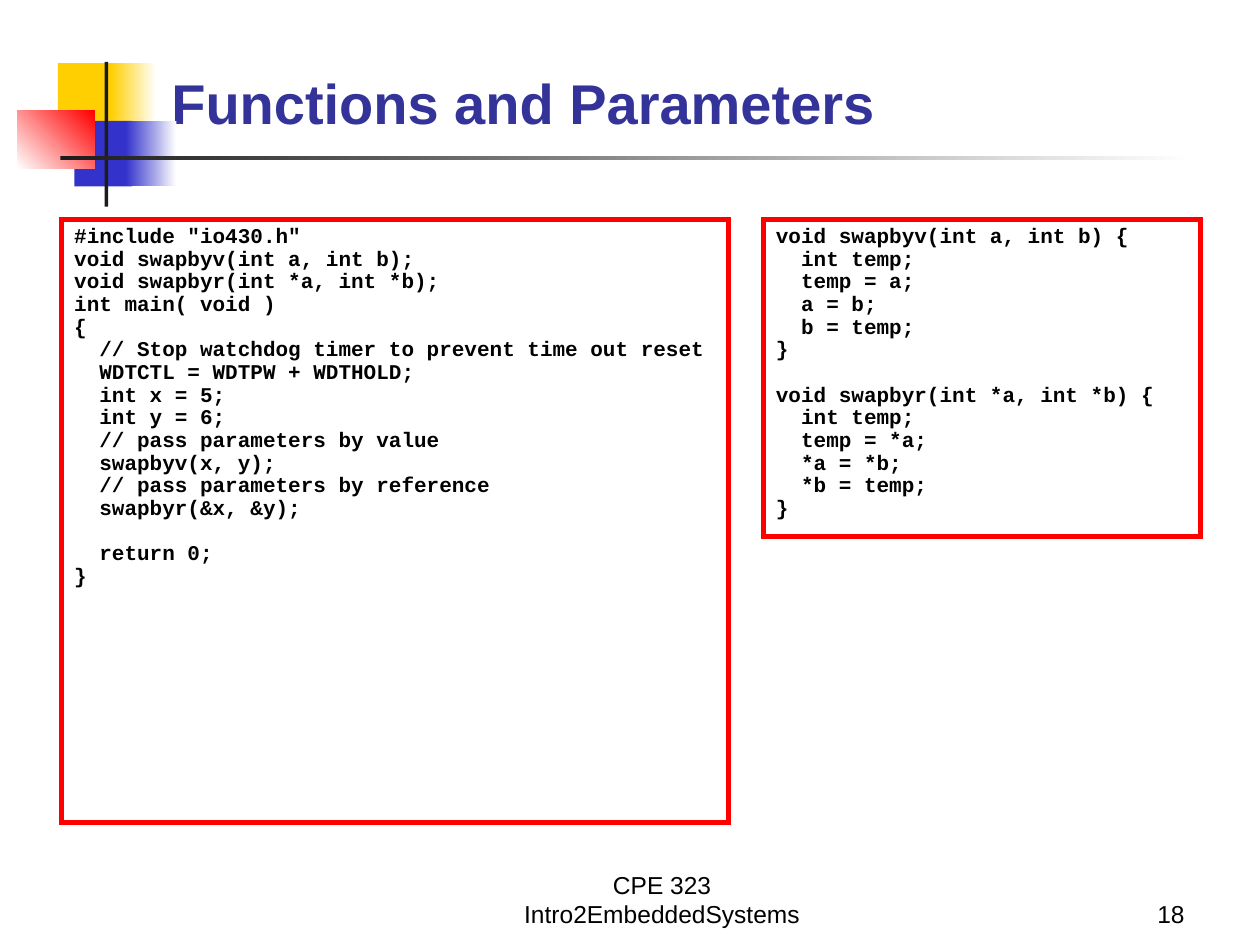
from lxml import etree
from pptx import Presentation
from pptx.dml.color import RGBColor
from pptx.enum.shapes import MSO_SHAPE
from pptx.enum.text import MSO_ANCHOR, PP_ALIGN
from pptx.oxml.ns import qn
from pptx.util import Inches, Pt

RECTANGLE = MSO_SHAPE.RECTANGLE
TOP, BOTTOM = MSO_ANCHOR.TOP, MSO_ANCHOR.BOTTOM
LEFT, CENTER, RIGHT = PP_ALIGN.LEFT, PP_ALIGN.CENTER, PP_ALIGN.RIGHT
TITLE_ONLY = 5
COLORS = {
    "yellow": "FFCF01", "blue": "3333CC", "red": "FF0000", "white": "FFFFFF",
    "charcoal": "1C1C1C", "title": "333399", "black": "000000",
}
MAIN_CODE = """#include "io430.h"
void swapbyv(int a, int b);
void swapbyr(int *a, int *b);
int main( void )
{
  // Stop watchdog timer to prevent time out reset
  WDTCTL = WDTPW + WDTHOLD;
  int x = 5;
  int y = 6;
  // pass parameters by value
  swapbyv(x, y);
  // pass parameters by reference
  swapbyr(&x, &y);

  return 0;
}"""
SWAP_CODE = """void swapbyv(int a, int b) {
  int temp;
  temp = a;
  a = b;
  b = temp;
}

void swapbyr(int *a, int *b) {
  int temp;
  temp = *a;
  *a = *b;
  *b = temp;
}"""


def color(name):
    """Return the named colour."""
    return RGBColor.from_string(COLORS[name])


def inches(box):
    """Convert left, top, width and height to lengths."""
    return [Inches(value) for value in box]


def style(font, name, size, ink, bold=False):
    """Format a font."""
    font.name, font.size, font.bold = name, Pt(size), bold
    font.color.rgb = color(ink)


def add_block(page, box, start, end=None, angle=0):
    """Add a borderless rectangle, solid or fading from start to end."""
    block = page.shapes.add_shape(RECTANGLE, *inches(box))
    block.shadow.inherit = False
    block.line.fill.background()
    if end is None:
        block.fill.solid()
        block.fill.fore_color.rgb = color(start)
        return
    block.fill.gradient()
    block.fill.gradient_angle = angle
    for stop, name, position in zip(block.fill.gradient_stops, (start, end), (0, 1)):
        stop.color.rgb = color(name)
        stop.position = position


def add_emblem(page, box):
    """Place the overlapping colour squares and the crossing rules."""
    left, top, width, height = box
    add_block(page, (left + 0.32, top + 0.01, 0.48, 0.52), "yellow")
    add_block(page, (left + 0.74, top + 0.01, 0.36, 0.52), "yellow", "white")
    add_block(page, (left + 0.45, top + 0.47, 0.46, 0.52), "blue")
    add_block(page, (left + 0.86, top + 0.47, 0.4, 0.52), "blue", "white")
    add_block(page, (left, top + 0.39, 0.61, 0.46), "white", "red", 45)
    add_block(page, (left + 0.69, top, 0.03, height), "charcoal")
    add_block(page, (left + 0.34, top + 0.75, width - 0.34, 0.03), "charcoal", "white")


def add_title(page, box, text):
    """Fill the title placeholder."""
    title = page.shapes.title
    title.left, title.top, title.width, title.height = inches(box)
    frame = title.text_frame
    frame.text = text
    frame.vertical_anchor = BOTTOM
    para = frame.paragraphs[0]
    para.alignment = LEFT
    style(para.runs[0].font, "Arial", 32, "title", True)


def add_code(page, box, code):
    """Add a code listing in a red frame with square corners."""
    panel = page.shapes.add_shape(RECTANGLE, *inches(box))
    panel.shadow.inherit = False
    panel.fill.background()
    panel.line.color.rgb = color("red")
    panel.line.width = Pt(3)
    outline = panel._element.spPr.find(qn("a:ln"))
    etree.SubElement(outline, qn("a:miter")).set("lim", "800000")
    frame = panel.text_frame
    frame.word_wrap = True
    frame.vertical_anchor = TOP
    frame.text = code
    for para in frame.paragraphs:
        para.alignment = LEFT
        para.line_spacing = 0.9
        properties = para._p.get_or_add_pPr()
        properties.set("marL", str(Inches(0.38)))
        properties.set("indent", str(Inches(-0.38)))
        style(para.font, "Courier New", 12, "black", True)
        for span in para.runs:
            style(span.font, "Courier New", 12, "black", True)


def add_footer(page, box, text, alignment):
    """Add a bottom-anchored footer text."""
    frame = page.shapes.add_textbox(*inches(box)).text_frame
    frame.word_wrap = True
    frame.vertical_anchor = BOTTOM
    frame.text = text
    para = frame.paragraphs[0]
    para.alignment = alignment
    style(para.runs[0].font, "Arial", 14, "black")


def main():
    """Build and save the deck."""
    deck = Presentation()
    deck.slide_width, deck.slide_height = Inches(10), Inches(7.5)
    page = deck.slides.add_slide(deck.slide_layouts[TITLE_ONLY])
    add_emblem(page, (0.14, 0.49, 9.34, 1.15))
    add_footer(page, (3.67, 6.92, 3.17, 0.5), "CPE 323 Intro2EmbeddedSystems", CENTER)
    add_footer(page, (7.42, 6.92, 2.08, 0.5), "18", RIGHT)
    add_title(page, (1.26, 0.18, 8.52, 0.95), "Functions and Parameters")
    add_code(page, (0.49, 1.74, 5.29, 4.79), MAIN_CODE)
    add_code(page, (6.06, 1.74, 3.47, 2.52), SWAP_CODE)
    deck.save("out.pptx")


if __name__ == "__main__":
    main()
